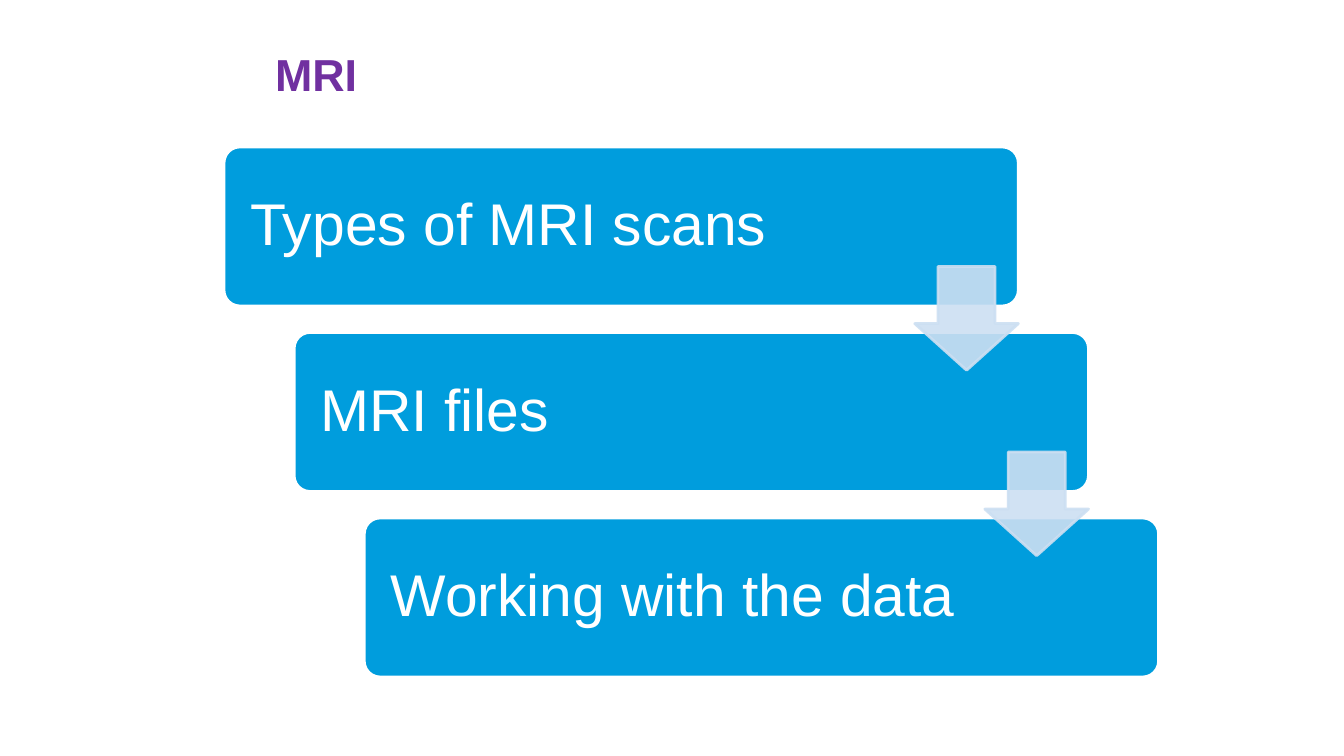
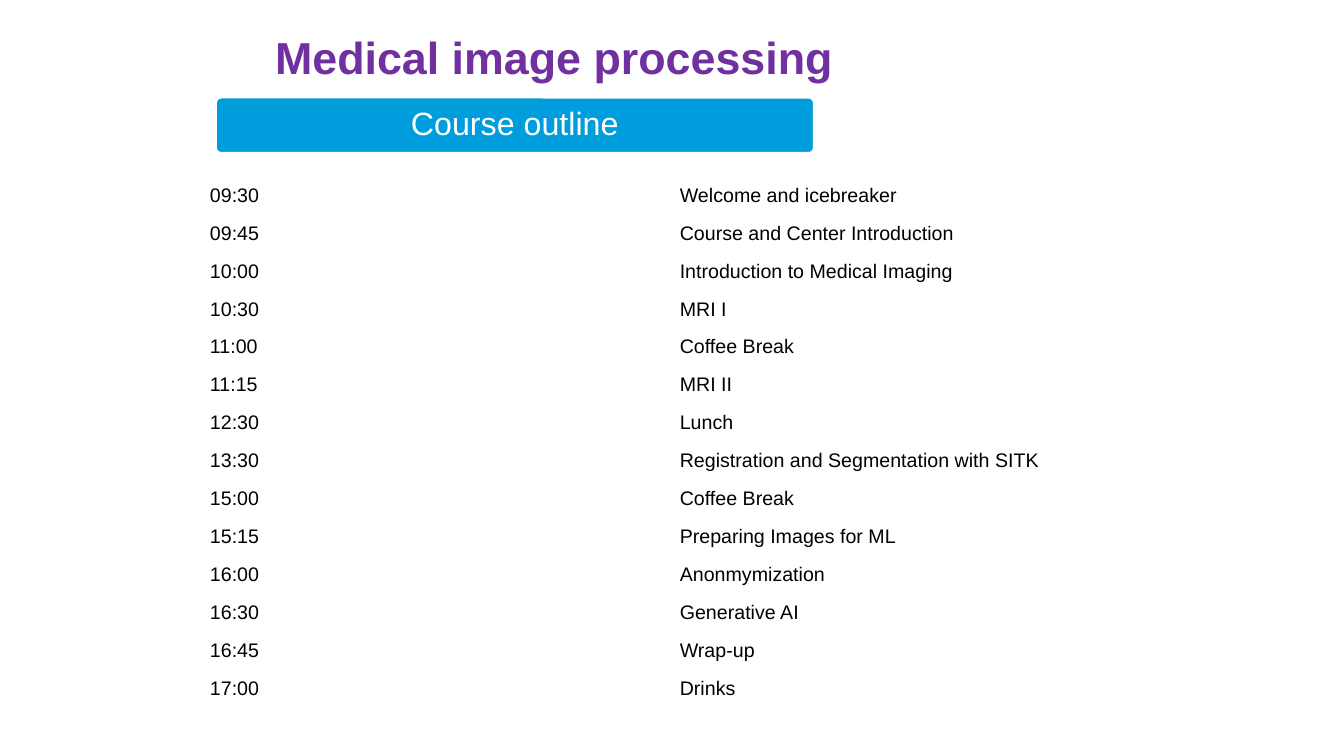
"""Build two slides: the steps of the MRI session and the course timetable."""
from lxml.etree import SubElement
from pptx import Presentation
from pptx.dml.color import RGBColor
from pptx.enum.shapes import MSO_SHAPE
from pptx.enum.text import MSO_ANCHOR, PP_ALIGN
from pptx.oxml.ns import qn
from pptx.util import Pt

SLIDE_WIDTH, SLIDE_HEIGHT = 960, 540
FONT = "Arial"
PURPLE, BLUE, PALE_BLUE, WHITE, BLACK = "7030A0", "009DDD", "CCDFF2", "FFFFFF", "000000"

SESSION_TITLE = "MRI"
SESSION_STEPS = ["Types of MRI scans", "MRI files", "Working with the data"]

COURSE_TITLE = "Medical image processing"
OUTLINE_HEADING = "Course outline"
TIMETABLE = [
    ("09:30", "Welcome and icebreaker"),
    ("09:45", "Course and Center Introduction"),
    ("10:00", "Introduction to Medical Imaging"),
    ("10:30", "MRI I"),
    ("11:00", "Coffee Break"),
    ("11:15", "MRI II"),
    ("12:30", "Lunch"),
    ("13:30", "Registration and Segmentation with SITK"),
    ("15:00", "Coffee Break"),
    ("15:15", "Preparing Images for ML"),
    ("16:00", "Anonmymization"),
    ("16:30", "Generative AI"),
    ("16:45", "Wrap-up"),
    ("17:00", "Drinks"),
]

TITLE_LEFT, TITLE_WIDTH, TITLE_HEIGHT = 189.4, 612, 80
STEP_LEFT, STEP_TOP, STEP_WIDTH, STEP_HEIGHT = 160, 105, 567.4, 113.6
STEP_SHIFT, STEP_PITCH = 50.1, 132.5
ARROW_SIZE, ARROW_DROP, ARROW_OPACITY = 74, 85.4, 90
BANNER_BOX = (154, 69.4, 427.7, 40.2)
TABLE_LEFT, TABLE_TOP, COLUMN_WIDTH, ROW_HEIGHT = 144.6, 126, 335.6, 27.1

TITLE_FONT = {"name": FONT, "size": Pt(32), "bold": True}
STEP_FONT = {"name": FONT, "size": Pt(42)}
BANNER_FONT = {"name": FONT, "size": Pt(23)}
TABLE_FONT = {"name": FONT, "size": Pt(14)}
BAR_FRAME = {
    "word_wrap": True,
    "vertical_anchor": MSO_ANCHOR.MIDDLE,
    "margin_left": Pt(15.5),
    "margin_right": Pt(15.5),
    "margin_top": Pt(7.2),
    "margin_bottom": Pt(7.2),
}
CELL_FORMAT = {
    "vertical_anchor": MSO_ANCHOR.MIDDLE,
    "margin_left": Pt(5.4),
    "margin_right": Pt(5.4),
    "margin_top": Pt(2.7),
    "margin_bottom": Pt(2.7),
}


def set_format(target, values):
    """Set every attribute of the target named in the dict."""
    for name, value in values.items():
        setattr(target, name, value)


def set_color(color_format, color):
    """Give a fore colour or a font colour its hex value."""
    color_format.rgb = RGBColor.from_string(color)


def write_text(text_frame, text, font, color, alignment=PP_ALIGN.LEFT, line_spacing=None):
    """Write one formatted paragraph into a text frame."""
    paragraph = text_frame.paragraphs[0]
    set_format(paragraph, {"alignment": alignment, "line_spacing": line_spacing})
    run = paragraph.add_run()
    run.text = text
    set_format(run.font, font)
    set_color(run.font.color, color)


def add_title(slide, text, top):
    """Add the purple slide title."""
    box = slide.shapes.add_textbox(Pt(TITLE_LEFT), Pt(top), Pt(TITLE_WIDTH), Pt(TITLE_HEIGHT))
    box.text_frame.word_wrap = True
    write_text(box.text_frame, text, TITLE_FONT, PURPLE)


def add_outlined_shape(slide, preset, box, adjustments, fill, line):
    """Add a filled preset shape with a two-point outline."""
    shape = slide.shapes.add_shape(preset, *map(Pt, box))
    shape.shadow.inherit = False
    for index, value in enumerate(adjustments):
        shape.adjustments[index] = value
    shape.fill.solid()
    set_color(shape.fill.fore_color, fill)
    shape.line.width = Pt(2)
    set_color(shape.line.color, line)
    return shape


def add_bar(slide, box, text, font, alignment=PP_ALIGN.LEFT):
    """Add a blue rounded bar with white text."""
    bar = add_outlined_shape(slide, MSO_SHAPE.ROUNDED_RECTANGLE, box, [0.1], BLUE, WHITE)
    set_format(bar.text_frame, BAR_FRAME)
    write_text(bar.text_frame, text, font, WHITE, alignment, 0.9)


def add_arrow(slide, left, top):
    """Add a slightly transparent arrow pointing down."""
    box = (left, top, ARROW_SIZE, ARROW_SIZE)
    arrow = add_outlined_shape(slide, MSO_SHAPE.DOWN_ARROW, box, [0.55, 0.45], PALE_BLUE, PALE_BLUE)
    for color in arrow.element.spPr.iter(qn("a:srgbClr")):
        SubElement(color, qn("a:alpha"), val=str(ARROW_OPACITY * 1000))


def add_steps(slide):
    """Add the staircase of bars, then the arrows between them."""
    corners = [
        (STEP_LEFT + index * STEP_SHIFT, STEP_TOP + index * STEP_PITCH)
        for index in range(len(SESSION_STEPS))
    ]
    for (left, top), text in zip(corners, SESSION_STEPS):
        add_bar(slide, (left, top, STEP_WIDTH, STEP_HEIGHT), text, STEP_FONT)
    for left, top in corners[:-1]:
        add_arrow(slide, left + STEP_WIDTH - ARROW_SIZE, top + ARROW_DROP)


def add_timetable(slide):
    """Add the plain two-column timetable."""
    rows, columns = len(TIMETABLE), len(TIMETABLE[0])
    frame = slide.shapes.add_table(
        rows, columns, Pt(TABLE_LEFT), Pt(TABLE_TOP), Pt(columns * COLUMN_WIDTH), Pt(rows * ROW_HEIGHT)
    )
    table = frame.table
    set_format(table, {"first_row": False, "horz_banding": False})
    for row, entry in zip(table.rows, TIMETABLE):
        row.height = Pt(ROW_HEIGHT)
        for cell, text in zip(row.cells, entry):
            cell.fill.background()
            set_format(cell, CELL_FORMAT)
            write_text(cell.text_frame, text, TABLE_FONT, BLACK)


def main():
    """Build both slides and save the presentation."""
    presentation = Presentation()
    set_format(presentation, {"slide_width": Pt(SLIDE_WIDTH), "slide_height": Pt(SLIDE_HEIGHT)})
    blank_layout = presentation.slide_layouts[6]

    session_slide = presentation.slides.add_slide(blank_layout)
    add_title(session_slide, SESSION_TITLE, 29.5)
    add_steps(session_slide)

    course_slide = presentation.slides.add_slide(blank_layout)
    add_title(course_slide, COURSE_TITLE, 18)
    add_bar(course_slide, BANNER_BOX, OUTLINE_HEADING, BANNER_FONT, PP_ALIGN.CENTER)
    add_timetable(course_slide)

    presentation.save("out.pptx")


if __name__ == "__main__":
    main()
